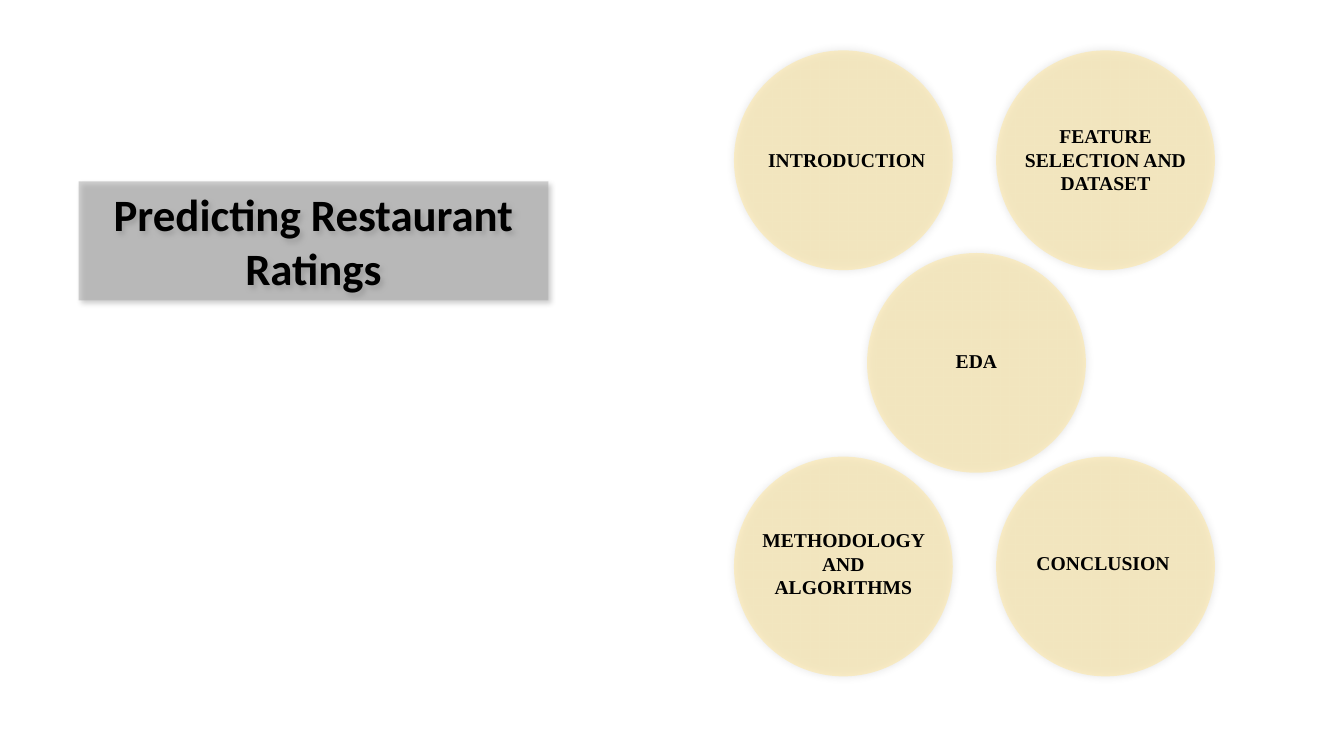
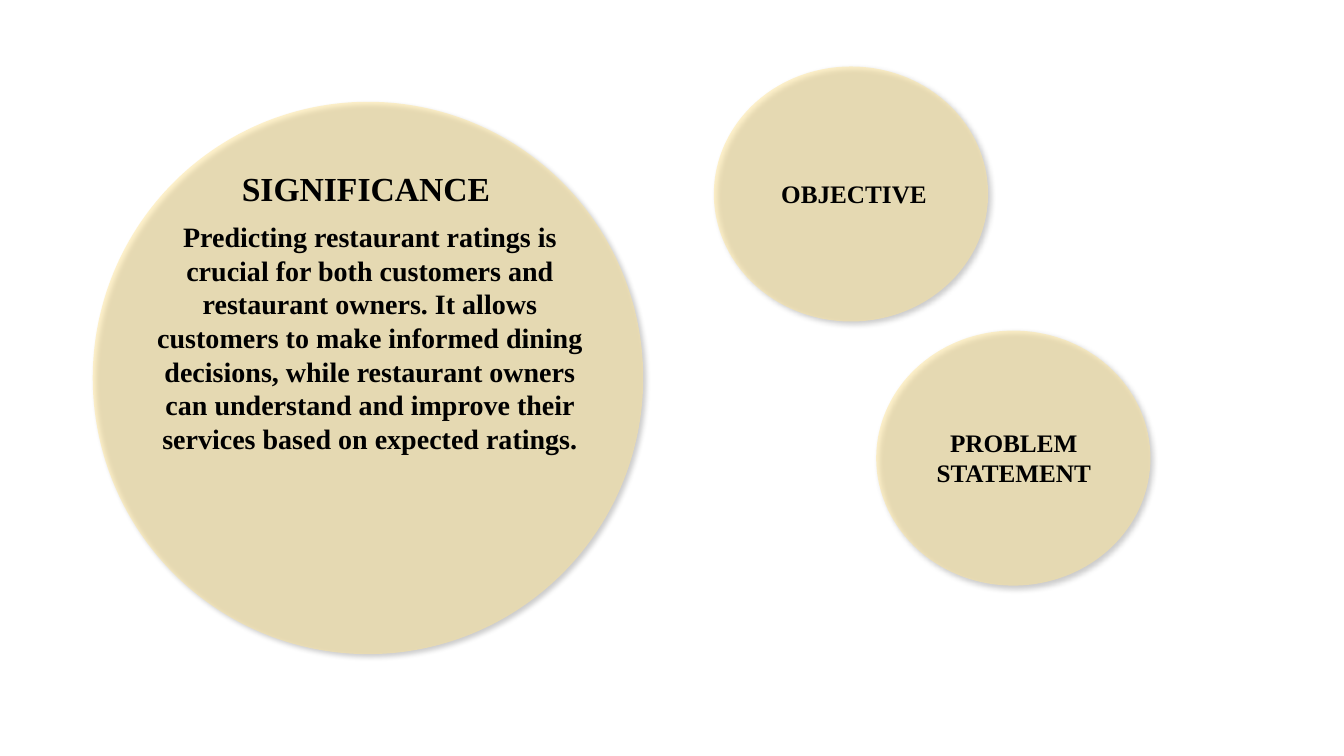
from dataclasses import dataclass
from typing import NamedTuple

from lxml.etree import SubElement
from pptx import Presentation
from pptx.dml.color import RGBColor
from pptx.enum.shapes import MSO_SHAPE
from pptx.enum.text import MSO_ANCHOR, MSO_AUTO_SIZE, PP_ALIGN
from pptx.oxml.ns import qn
from pptx.presentation import Presentation as Deck
from pptx.shapes.autoshape import Shape
from pptx.slide import Slide
from pptx.text.text import TextFrame
from pptx.util import Inches, Pt


class Shade(NamedTuple):
    """Outer shadow: opacity in percent, lengths in points, angle in degrees."""
    alpha: int
    blur: int
    dist: int
    angle: int


@dataclass(frozen=True)
class Theme:
    ink: str = "000000"
    gold: str = "FFE699"
    gray: str = "A5A5A5"
    alpha: int = 50
    sans: str = "Calibri"
    serif: str = "Times New Roman"
    title: int = 32
    head: int = 24
    body: int = 20
    label: int = 18
    small: int = 14
    drop: Shade = Shade(40, 4, 3, 45)
    glow: Shade = Shade(20, 6, 0, 315)


THEME = Theme()


class Box(NamedTuple):
    left: float
    top: float
    width: float
    height: float


@dataclass(frozen=True)
class Note:
    text: str
    box: Box
    size: int
    align: PP_ALIGN = PP_ALIGN.CENTER


# Agenda: discs of one size, each with a caption
DISC = (2.17, 2.18)
NEAR, FAR, MID = 7.28, 9.88, 8.6
HIGH, CORE, LOW = 0.5, 2.51, 4.53
ONE, THREE = 0.34, 0.81  # caption heights by line count


class Topic(NamedTuple):
    text: str
    left: float
    top: float
    drop: float  # from disc top to caption top
    height: float
    inset: float = 0.1
    align: PP_ALIGN = PP_ALIGN.CENTER


TOPICS = [
    Topic("INTRODUCTION", NEAR, HIGH, 0.92, ONE, 0.24, PP_ALIGN.LEFT),
    Topic("FEATURE SELECTION AND DATASET", FAR, HIGH, 0.68, THREE),
    Topic("EDA", MID, CORE, 0.9, ONE),
    Topic("METHODOLOGY AND ALGORITHMS", NEAR, LOW, 0.66, THREE),
    Topic("CONCLUSION ", FAR, LOW, 0.89, ONE),
]

# Introduction: discs from back to front, then text
DISCS = [
    Box(8.69, 3.28, 2.72, 2.53),
    Box(7.08, 0.66, 2.72, 2.53),
    Box(0.92, 1.01, 5.46, 5.48),
]
NOTES = [
    Note("SIGNIFICANCE", Box(2.3, 1.62, 3.06, 0.5), THEME.head, PP_ALIGN.LEFT),
    Note(
        "Predicting restaurant ratings is crucial for both customers and "
        "restaurant owners. It allows customers to make informed dining "
        "decisions, while restaurant owners can understand and improve their "
        "services based on expected ratings.",
        Box(1.34, 2.13, 4.66, 2.46), THEME.body),
    Note("OBJECTIVE", Box(7.65, 1.72, 2.33, 0.4), THEME.label, PP_ALIGN.LEFT),
    Note("PROBLEM STATEMENT", Box(8.89, 4.19, 2.33, 0.71), THEME.label),
]


def write(frame: TextFrame, text: str, size: int, font: str,
          align: PP_ALIGN) -> None:
    frame.word_wrap = True
    frame.auto_size = MSO_AUTO_SIZE.SHAPE_TO_FIT_TEXT
    para = frame.paragraphs[0]
    para.alignment = align
    run = para.add_run()
    run.text = text
    run.font.name = font
    run.font.size = Pt(size)
    run.font.bold = True
    run.font.color.rgb = RGBColor.from_string(THEME.ink)


def panel(slide: Slide, kind: MSO_SHAPE, box: Box, color: str,
          shade: Shade) -> Shape:
    """Draw a half-clear shape with no outline and a soft shadow."""
    shape = slide.shapes.add_shape(kind, *map(Inches, box))
    shape.line.fill.background()
    shape.fill.solid()
    shape.fill.fore_color.rgb = RGBColor.from_string(color)
    props = shape.element.spPr
    tint = props.find(qn("a:solidFill")).find(qn("a:srgbClr"))
    SubElement(tint, qn("a:alpha"), val=str(THEME.alpha * 1000))

    shape.shadow.inherit = False
    outer = SubElement(
        props.find(qn("a:effectLst")), qn("a:outerShdw"),
        blurRad=str(Pt(shade.blur)), dist=str(Pt(shade.dist)),
        dir=str(shade.angle * 60000), algn="tl", rotWithShape="0")
    dark = SubElement(outer, qn("a:srgbClr"), val=THEME.ink)
    SubElement(dark, qn("a:alpha"), val=str(shade.alpha * 1000))
    return shape


def label(slide: Slide, note: Note) -> None:
    frame = slide.shapes.add_textbox(*map(Inches, note.box)).text_frame
    write(frame, note.text, note.size, THEME.serif, note.align)


def agenda(slide: Slide) -> None:
    # Title band
    band = panel(slide, MSO_SHAPE.RECTANGLE, Box(0.78, 1.8, 4.66, 1.18),
                 THEME.gray, THEME.drop)
    band.text_frame.vertical_anchor = MSO_ANCHOR.MIDDLE
    write(band.text_frame, "Predicting Restaurant Ratings", THEME.title,
          THEME.sans, PP_ALIGN.CENTER)
    # Topic discs
    for topic in TOPICS:
        panel(slide, MSO_SHAPE.OVAL, Box(topic.left, topic.top, *DISC),
              THEME.gold, THEME.glow)
        box = Box(topic.left + topic.inset, topic.top + topic.drop,
                  1.97, topic.height)
        label(slide, Note(topic.text, box, THEME.small, topic.align))


def intro(slide: Slide) -> None:
    for box in DISCS:
        panel(slide, MSO_SHAPE.OVAL, box, THEME.gold, THEME.drop)
    for note in NOTES:
        label(slide, note)


def main() -> None:
    deck: Deck = Presentation()
    deck.slide_width, deck.slide_height = Inches(13.33), Inches(7.5)
    blank = deck.slide_layouts[6]
    for draw in (agenda, intro):
        draw(deck.slides.add_slide(blank))
    deck.save("out.pptx")


if __name__ == "__main__":
    main()
